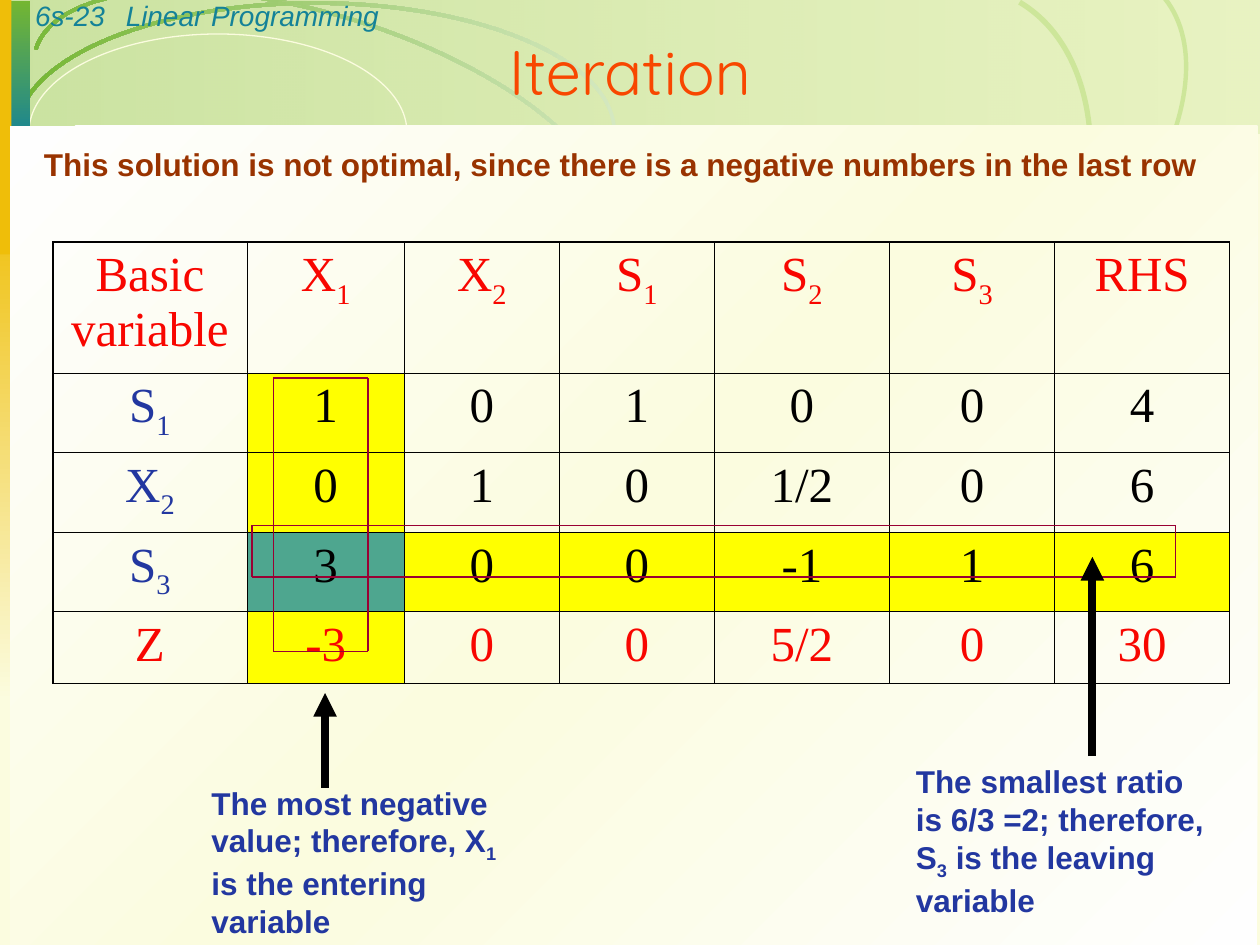
from lxml import etree
from pptx import Presentation
from pptx.dml.color import RGBColor
from pptx.enum.shapes import MSO_CONNECTOR, MSO_SHAPE
from pptx.enum.text import MSO_ANCHOR, PP_ALIGN
from pptx.oxml.ns import qn
from pptx.util import Inches, Pt

RECT, OVAL, ARC = MSO_SHAPE.RECTANGLE, MSO_SHAPE.OVAL, MSO_SHAPE.BLOCK_ARC
STRAIGHT = MSO_CONNECTOR.STRAIGHT
LEFT, CENTER = PP_ALIGN.LEFT, PP_ALIGN.CENTER
TOP, MIDDLE = MSO_ANCHOR.TOP, MSO_ANCHOR.MIDDLE

CREAM = RGBColor(0xFB, 0xFC, 0xDF)
WHITE = RGBColor(0xFE, 0xFE, 0xFE)
LIME = RGBColor(0xBC, 0xDD, 0x7B)
GREEN = RGBColor(0x74, 0xB6, 0x32)
PALE_GREEN = RGBColor(0xD4, 0xE8, 0xC0)
SOFT_GREEN = RGBColor(0xCD, 0xE6, 0x9A)
TEAL = RGBColor(0x14, 0x82, 0x98)
GOLD = RGBColor(0xEF, 0xBE, 0x09)
ORANGE = RGBColor(0xF8, 0x47, 0x00)
RED = RGBColor(0xF8, 0x06, 0x00)
BLUE = RGBColor(0x22, 0x37, 0xA0)
BROWN = RGBColor(0x99, 0x33, 0x00)
MAROON = RGBColor(0x99, 0x00, 0x33)
YELLOW = RGBColor(0xFF, 0xFF, 0x00)
PIVOT = RGBColor(0x4E, 0xA6, 0x8F)
BLACK = RGBColor(0, 0, 0)

COL_WIDTHS = [1.54, 1.25, 1.23, 1.23, 1.39, 1.31, 1.39]
ROW_HEIGHTS = [1.04, 0.63, 0.63, 0.63, 0.57]
TABLEAU = [
    ["Basic variable", "X_1", "X_2", "S_1", "S_2", "S_3", "RHS"],
    ["S_1", "1", "0", "1", "0", "0", "4"],
    ["X_2", "0", "1", "0", "1/2", "0", "6"],
    ["S_3", "3", "0", "0", "-1", "1", "6"],
    ["Z", "-3", "0", "0", "5/2", "0", "30"],
]
ENTERING_COL, LEAVING_ROW = 1, 3


def add_plain(s, kind, box, color=None):
    """Add a shape without line or shadow, filled with color if given."""
    sp = s.shapes.add_shape(kind, *map(Inches, box))
    sp.shadow.inherit = False
    sp.line.fill.background()
    if color is None:
        sp.fill.background()
    else:
        sp.fill.solid()
        sp.fill.fore_color.rgb = color
    return sp


def set_gradient(sp, stops, angle):
    """Fill sp with (position, color, opacity) stops along a clockwise angle."""
    sp.fill.gradient()
    sp.fill.gradient_angle = (360 - angle) % 360
    gs_list = sp._element.spPr.find(qn("a:gradFill")).find(qn("a:gsLst"))
    for gs in list(gs_list):
        gs_list.remove(gs)
    for position, color, opacity in stops:
        gs = etree.SubElement(gs_list, qn("a:gs"), pos=str(position * 1000))
        clr = etree.SubElement(gs, qn("a:srgbClr"), val=str(color))
        if opacity < 100:
            etree.SubElement(clr, qn("a:alpha"), val=str(opacity * 1000))


def add_arc(s, box, rotation=0, flip=False):
    """Add a thin half-ring, optionally flipped upside down."""
    sp = add_plain(s, ARC, box, SOFT_GREEN)
    for i, value in enumerate((108, 0, 0.014)):
        sp.adjustments[i] = value
    sp.rotation = rotation
    if flip:
        sp._element.spPr.xfrm.set("flipV", "1")
    return sp


def write(p, text, size, font, color, bold=False, italic=False):
    """Write text into p, lowering the character after each underscore."""
    head, *tails = text.split("_")
    pieces = [(head, False)]
    for tail in tails:
        pieces += [(tail[0], True), (tail[1:], False)]
    for piece, lowered in pieces:
        if piece:
            r = p.add_run()
            r.text = piece
            r.font.size, r.font.name = Pt(size), font
            r.font.bold, r.font.italic = bold, italic
            r.font.color.rgb = color
            if lowered:
                r.font._element.set("baseline", "-25000")


def add_text(s, box, text, size, color, font="Arial", align=LEFT, anchor=TOP, **style):
    """Add a wrapping text box with one paragraph."""
    tf = s.shapes.add_textbox(*map(Inches, box)).text_frame
    tf.word_wrap = True
    tf.vertical_anchor = anchor
    p = tf.paragraphs[0]
    p.alignment = align
    write(p, text, size, font, color, **style)


def add_line(s, start, end, color, width, arrow=False):
    """Add a straight line, with an arrowhead at its end if asked."""
    cn = s.shapes.add_connector(STRAIGHT, *map(Inches, (*start, *end)))
    cn.line.color.rgb = color
    cn.line.width = Pt(width)
    etree.SubElement(cn._element.spPr, qn("a:effectLst"))
    if arrow:
        etree.SubElement(cn.line._get_or_add_ln(), qn("a:tailEnd"), type="triangle")


def add_backdrop(s, width, height):
    """Draw the banner with its arcs, the left stripe and the content panel."""
    s.background.fill.solid()
    s.background.fill.fore_color.rgb = CREAM
    banner = add_plain(s, RECT, (0, 0, width, 1.06))
    set_gradient(banner, [(0, LIME, 29), (100, GREEN, 36)], 180)
    fade = [(0, PALE_GREEN, 100), (100, GREEN, 100)]
    set_gradient(add_arc(s, (0.16, 0.11, 4.77, 1.99), 17.5), fade, 162)
    ring = add_plain(s, OVAL, (0.23, 0.27, 3, 1.56))
    ring.line.color.rgb = CREAM
    ring.line.width = Pt(0.75)
    stripe = add_plain(s, RECT, (0, 1.55, 0.22, 4.01))
    set_gradient(stripe, [(0, GOLD, 100), (100, CREAM, 100)], 90)
    add_arc(s, (5.07, 0.24, 4.77, 2.59), 318.2, True)
    add_arc(s, (4.5, 0.52, 4.77, 3.06), 300.7, True)
    set_gradient(add_arc(s, (0.12, 0.01, 4.77, 2.07)), fade, 180)
    block = add_plain(s, RECT, (0.01, 0.01, 0.23, 1.14))
    set_gradient(block, [(0, GREEN, 100), (100, TEAL, 100)], 90)
    add_plain(s, RECT, (0, 0, 0.09, 2.02), GOLD)
    panel = add_plain(s, RECT, (0.08, 1, width - 0.1, height - 1))
    set_gradient(panel, [(0, WHITE, 100), (50, CREAM, 100), (100, WHITE, 100)], 225)


def add_heading(s, width):
    """Write the running header, the title and the opening statement."""
    add_text(s, (0.18, -0.06, 0.96, 0.37), "6s-23", 16, TEAL, italic=True)
    add_text(s, (0.9, -0.06, 8.67, 0.37), "Linear Programming", 16, TEAL, italic=True)
    add_text(s, (0, 0.06, width, 1), "Iteration", 36, ORANGE, "Quicksand", CENTER, MIDDLE)
    add_text(s, (0.25, 1.1, 9.5, 0.4),
             "This solution is not optimal, since there is a negative numbers in the last row",
             18, BROWN, bold=True)


def set_borders(cell, outer):
    """Draw black cell borders, thicker on the sides that are outer."""
    tc_pr = cell._tc.get_or_add_tcPr()
    for side, is_outer in zip("LRTB", outer):
        ln = etree.SubElement(tc_pr, qn(f"a:ln{side}"), w=str(Pt(1.08 if is_outer else 0.45)))
        fill = etree.SubElement(ln, qn("a:solidFill"))
        etree.SubElement(fill, qn("a:srgbClr"), val=str(BLACK))


def add_tableau(s, left, top):
    """Build the simplex table with the pivot row and column highlighted."""
    last_row, last_col = len(ROW_HEIGHTS) - 1, len(COL_WIDTHS) - 1
    box = (left, top, sum(COL_WIDTHS), sum(ROW_HEIGHTS))
    table = s.shapes.add_table(last_row + 1, last_col + 1, *map(Inches, box)).table
    table.first_row = table.horz_banding = False
    for col, w in zip(table.columns, COL_WIDTHS):
        col.width = Inches(w)
    for i, (row, h) in enumerate(zip(table.rows, ROW_HEIGHTS)):
        row.height = Inches(h)
        for j, cell in enumerate(row.cells):
            set_borders(cell, (j == 0, j == last_col, i == 0, i == last_row))
            in_col = j == ENTERING_COL and i > 0
            in_row = i == LEAVING_ROW and j > 0
            if in_col or in_row:
                cell.fill.solid()
                cell.fill.fore_color.rgb = PIVOT if in_col and in_row else YELLOW
            else:
                cell.fill.background()
            color = RED if i in (0, last_row) else BLUE if j == 0 else BLACK
            p = cell.text_frame.paragraphs[0]
            p.alignment = CENTER
            write(p, TABLEAU[i][j], 28, "Times New Roman", color)


def add_frame(s, left, top, right, bottom):
    """Outline a region with four lines."""
    corners = [(left, top), (left, bottom), (right, bottom), (right, top)]
    for start, end in zip(corners, corners[1:] + corners[:1]):
        add_line(s, start, end, MAROON, 1)


def add_callout(s, box, text, start, end):
    """Write a note and point an arrow from it into the table."""
    add_text(s, box, text, 18, BLUE, bold=True)
    add_line(s, start, end, BLACK, 4.5, arrow=True)


def main():
    """Build the slide and save it."""
    prs = Presentation()
    prs.slide_width, prs.slide_height = Inches(10), Inches(7.5)
    s = prs.slides.add_slide(prs.slide_layouts[6])
    add_backdrop(s, 10, 7.5)
    add_heading(s, 10)
    add_tableau(s, 0.42, 1.92)
    add_frame(s, 2.17, 3, 2.92, 5.17)
    add_frame(s, 2, 4.17, 9.33, 4.58)
    add_callout(s, (1.58, 6.17, 2.5, 1.33),
                "The most negative value; therefore, X_1 is the entering variable",
                (2.58, 6.25), (2.58, 5.5))
    add_callout(s, (7.17, 6, 2.58, 1.34),
                "The smallest ratio is 6/3 =2; therefore, S_3 is the leaving variable",
                (8.67, 6), (8.67, 4.42))
    prs.save("out.pptx")


if __name__ == "__main__":
    main()
